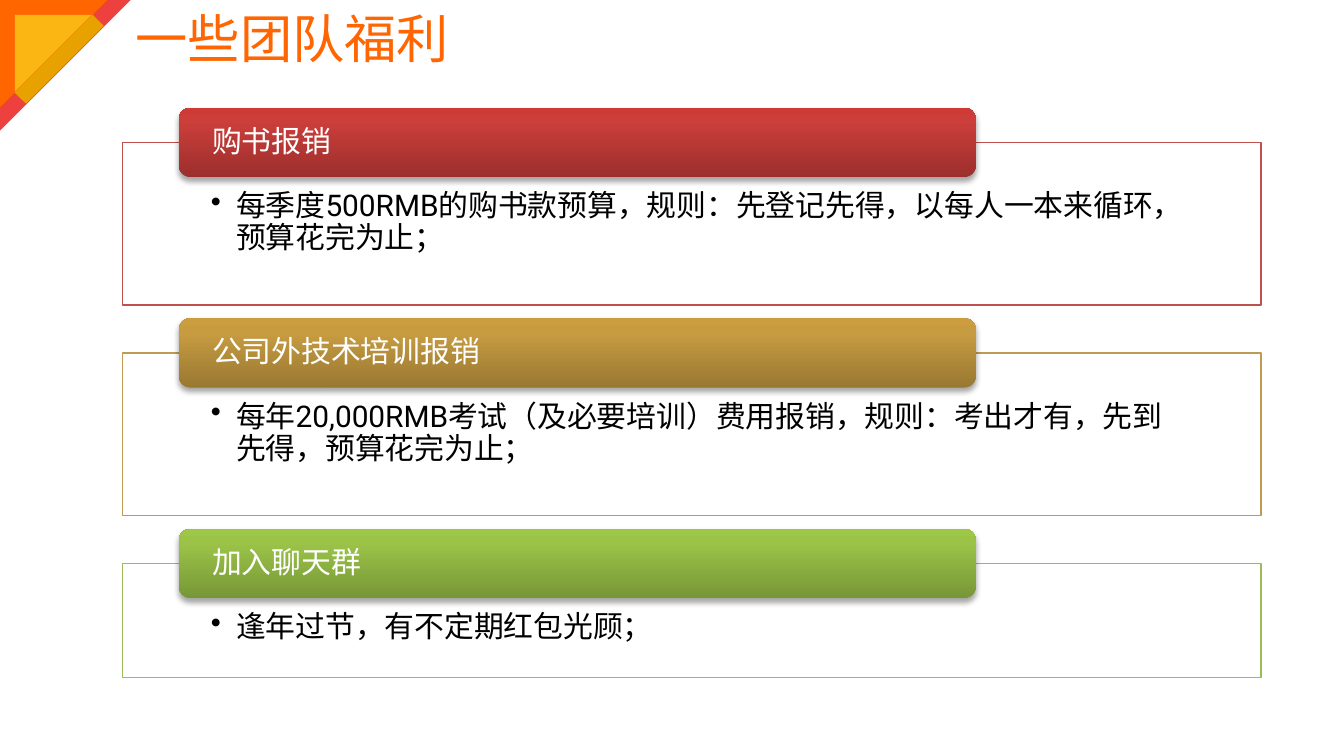
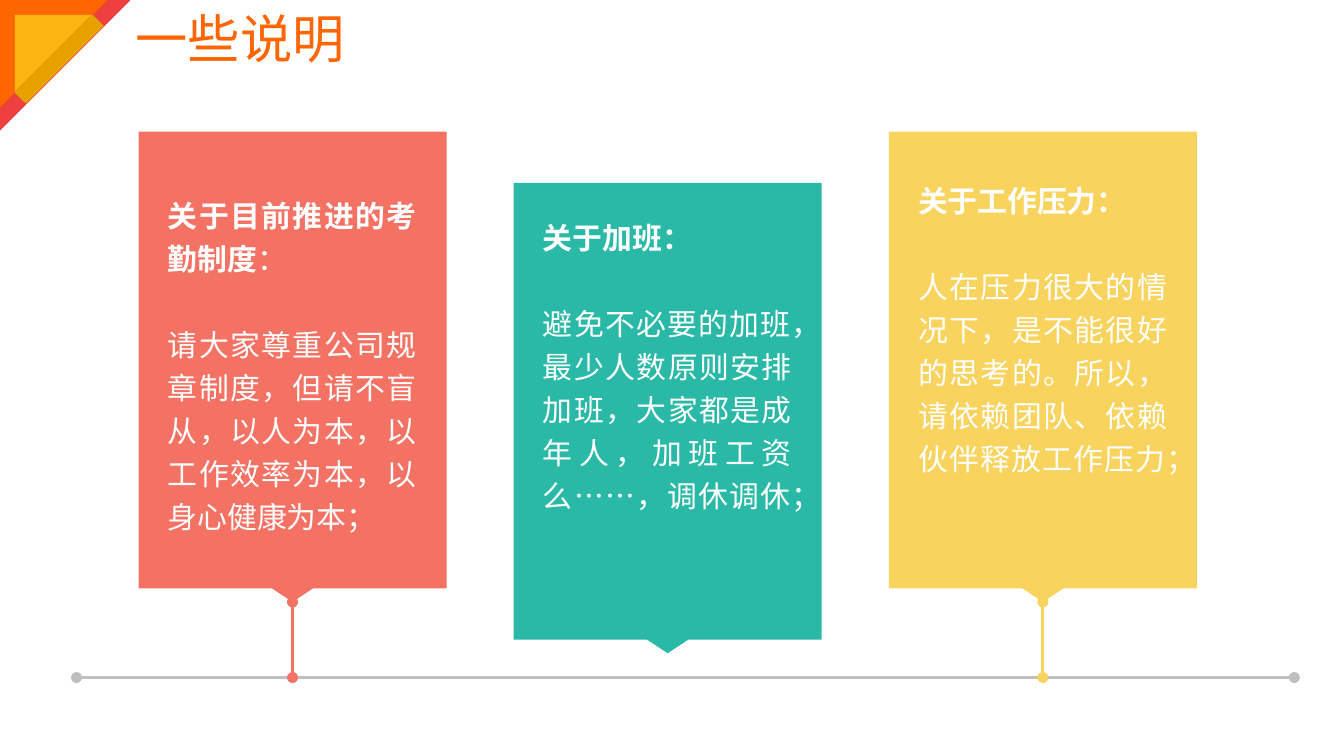
from copy import deepcopy

from pptx import Presentation
from pptx.dml.color import RGBColor
from pptx.enum.shapes import MSO_CONNECTOR, MSO_SHAPE
from pptx.enum.text import MSO_ANCHOR, MSO_AUTO_SIZE, PP_ALIGN
from pptx.oxml.ns import qn
from pptx.util import Pt
from lxml import etree

ORANGE, WHITE, BLACK, GREY = "FF6501", "FFFFFF", "000000", "BFBFBF"
RED, TEAL, YELLOW = "F47264", "29B9A6", "F8D35E"
TITLE_FONT, BODY_FONT, CJK_FONT = "Arial", "Roboto", "Noto Sans CJK SC"
TITLE_SIZE, BODY_SIZE = 28, 16

# heading, text, box height, line colour, gradient from bottom to top
BENEFITS = [
    ("购书报销", "每季度500RMB的购书款预算，规则：先登记先得，以每人一本来循环，预算花完为止；",
     87.1, "C0504D", ("9C2F2D", "CB3E3A", "CE3B37")),
    ("公司外技术培训报销", "每年20,000RMB考试（及必要培训）费用报销，规则：考出才有，先到先得，预算花完为止；",
     87.1, "BD9B53", ("997832", "C79C41", "CB9D3F")),
    ("加入聊天群", "逢年过节，有不定期红包光顾；",
     61.2, "9BBB59", ("779737", "9BC348", "9DC746")),
]

# heading runs (text, bold), text, font, colour, callout top, text top, has stem
NOTES = [
    ([("关于目前推进的考勤制度", True), ("：", False)],
     "请大家尊重公司规章制度，但请不盲从，以人为本，以工作效率为本，以身心健康为本；",
     BODY_FONT, RED, 70.5, 98.6, True),
    ([("关于加班：", True)],
     "避免不必要的加班，最少人数原则安排加班，大家都是成年人，加班工资么……，调休调休；",
     CJK_FONT, TEAL, 98, 110.2, False),
    ([("关于工作压力：", True)],
     "人在压力很大的情况下，是不能很好的思考的。所以，请依赖团队、依赖伙伴释放工作压力；",
     BODY_FONT, YELLOW, 70.5, 90.7, True),
]


def rgb(value):
    return RGBColor.from_string(value)


def sub(parent, tag, **attrs):
    return etree.SubElement(parent, qn(tag), attrs)


def set_font(p, color, size=BODY_SIZE, name=BODY_FONT):
    p.font.size = Pt(size)
    p.font.name = name
    p.font.color.rgb = rgb(color)


def set_insets(tf, left, top, right, bottom):
    tf.margin_left, tf.margin_top = Pt(left), Pt(top)
    tf.margin_right, tf.margin_bottom = Pt(right), Pt(bottom)


def add_block(s, kind, x, y, w, h, fill=None, rotation=0):
    sp = s.shapes.add_shape(kind, Pt(x), Pt(y), Pt(w), Pt(h))
    sp.shadow.inherit = False
    sp.line.fill.background()
    sp.rotation = rotation
    if fill:
        sp.fill.solid()
        sp.fill.fore_color.rgb = rgb(fill)
    return sp


def add_slide(prs, title):
    """Add a slide with the corner ornament and its title."""
    s = prs.slides.add_slide(prs.slide_layouts[5])
    for offset, size, color in ((0, 70, "EE403F"), (0, 57.6, "FF6600"), (8, 41, "FBB614")):
        add_block(s, MSO_SHAPE.RIGHT_TRIANGLE, offset, offset, size, size, color, 90)
    add_block(s, MSO_SHAPE.RECTANGLE, 27.4, 2.2, 8.6, 59, "E7A200", 45)

    sp = s.shapes.title
    sp.left, sp.top = Pt(65.5), Pt(0)
    sp.width, sp.height = Pt(TITLE_SIZE * len(title) + 16), Pt(41)
    tf = sp.text_frame
    tf.text = title
    tf.word_wrap = False
    tf.auto_size = MSO_AUTO_SIZE.NONE
    tf.vertical_anchor = MSO_ANCHOR.TOP
    set_insets(tf, 7.2, 3.6, 7.2, 3.6)
    p = tf.paragraphs[0]
    p.alignment = PP_ALIGN.LEFT
    set_font(p, ORANGE, TITLE_SIZE, TITLE_FONT)
    return s


def add_left_text(sp, text, color, anchor, insets):
    tf = sp.text_frame
    tf.word_wrap = True
    tf.vertical_anchor = anchor
    set_insets(tf, *insets)
    p = tf.paragraphs[0]
    p.text = text
    p.alignment = PP_ALIGN.LEFT
    p.line_spacing = 0.9
    set_font(p, color)
    return p


def add_bullet(p, indent):
    pPr = p._p.get_or_add_pPr()
    pPr.set("marL", str(Pt(indent)))
    pPr.set("indent", str(-Pt(indent)))
    bullet = pPr.makeelement(qn("a:buChar"), {"char": "•"})
    pPr.find(qn("a:defRPr")).addprevious(bullet)


def set_gradient(sp, colors):
    sp.fill.gradient()
    sp.fill.gradient_angle = 90
    stops = sp._element.spPr.find(qn("a:gradFill")).find(qn("a:gsLst"))
    stops.append(deepcopy(stops[0]))
    for stop, position, color in zip(sp.fill.gradient_stops, (0, 0.8, 1), colors):
        stop.position = position
        stop.color.rgb = rgb(color)


def add_shadow(sp):
    effects = sp._element.spPr.find(qn("a:effectLst"))
    shadow = sub(effects, "a:outerShdw", blurRad=str(Pt(3.1)), dist=str(Pt(1.8)),
                 dir="5400000", rotWithShape="0")
    sub(sub(shadow, "a:srgbClr", val=BLACK), "a:alpha", val="35000")


def add_benefit(s, y, heading, text, height, color, gradient):
    box = add_block(s, MSO_SHAPE.RECTANGLE, 65.5, y, 610, height, WHITE)
    white = box._element.spPr.find(qn("a:solidFill"))[0]
    sub(white, "a:alpha", val="90000")
    box.line.color.rgb = rgb(color)
    box.line.width = Pt(0.75)
    p = add_left_text(box, text, BLACK, MSO_ANCHOR.TOP, (47.5, 26, 47.5, 8.6))
    add_bullet(p, 13.5)

    tab = add_block(s, MSO_SHAPE.ROUNDED_RECTANGLE, 95.8, y - 18.6, 427, 37.2)
    set_gradient(tab, gradient)
    add_shadow(tab)
    add_left_text(tab, heading, WHITE, MSO_ANCHOR.MIDDLE, (16, 0, 16, 0))


def add_dotted_end_line(s, x1, y1, x2, y2, color):
    line = s.shapes.add_connector(MSO_CONNECTOR.STRAIGHT, Pt(x1), Pt(y1), Pt(x2), Pt(y2))
    line.line.color.rgb = rgb(color)
    line.line.width = Pt(1.5)
    ln = line.line._get_or_add_ln()
    sub(ln, "a:headEnd", type="oval")
    sub(ln, "a:tailEnd", type="oval")
    sub(line._element.spPr, "a:effectLst")
    return line


def add_callout(s, x, y, color):
    sp = add_block(s, MSO_SHAPE.DOWN_ARROW_CALLOUT, x, y, 165, 252, color)
    for i, value in enumerate((0.25, 0.067, 0.044, 0.975)):
        sp.adjustments[i] = value
    return sp


def add_note_text(s, x, y, heading, text, font):
    tf = s.shapes.add_textbox(Pt(x), Pt(y), Pt(147.6), Pt(192)).text_frame
    tf.word_wrap = True
    head, body = tf.paragraphs[0], tf.add_paragraph()
    for part, bold in heading:
        r = head.add_run()
        r.text = part
        r.font.bold = bold
    body.text = text
    body.space_before = Pt(23)
    for p, name in ((head, BODY_FONT), (body, font)):
        p.alignment = PP_ALIGN.JUSTIFY
        p.line_spacing = 1.2
        set_font(p, WHITE, name=name)


def build_benefits(prs):
    s = add_slide(prs, "一些团队福利")
    y = 76.3
    for heading, text, height, color, gradient in BENEFITS:
        add_benefit(s, y, heading, text, height, color, gradient)
        y += height + 25.7


def build_notes(prs):
    s = add_slide(prs, "一些说明")
    axis_y = 363
    add_dotted_end_line(s, 41, axis_y, 693.4, axis_y, GREY)
    for i, (heading, text, font, color, y, text_y, has_stem) in enumerate(NOTES):
        x = 74.2 + 201 * i
        callout = add_callout(s, x, y, color)
        add_note_text(s, x + 8.6, text_y, heading, text, font)
        if has_stem:
            middle = x + 82.5
            stem = add_dotted_end_line(s, middle, y + 252, middle, axis_y, color)
            stem.begin_connect(callout, 2)


def main():
    prs = Presentation()
    prs.slide_width, prs.slide_height = Pt(720), Pt(405)
    build_benefits(prs)
    build_notes(prs)
    prs.save("out.pptx")


if __name__ == "__main__":
    main()
